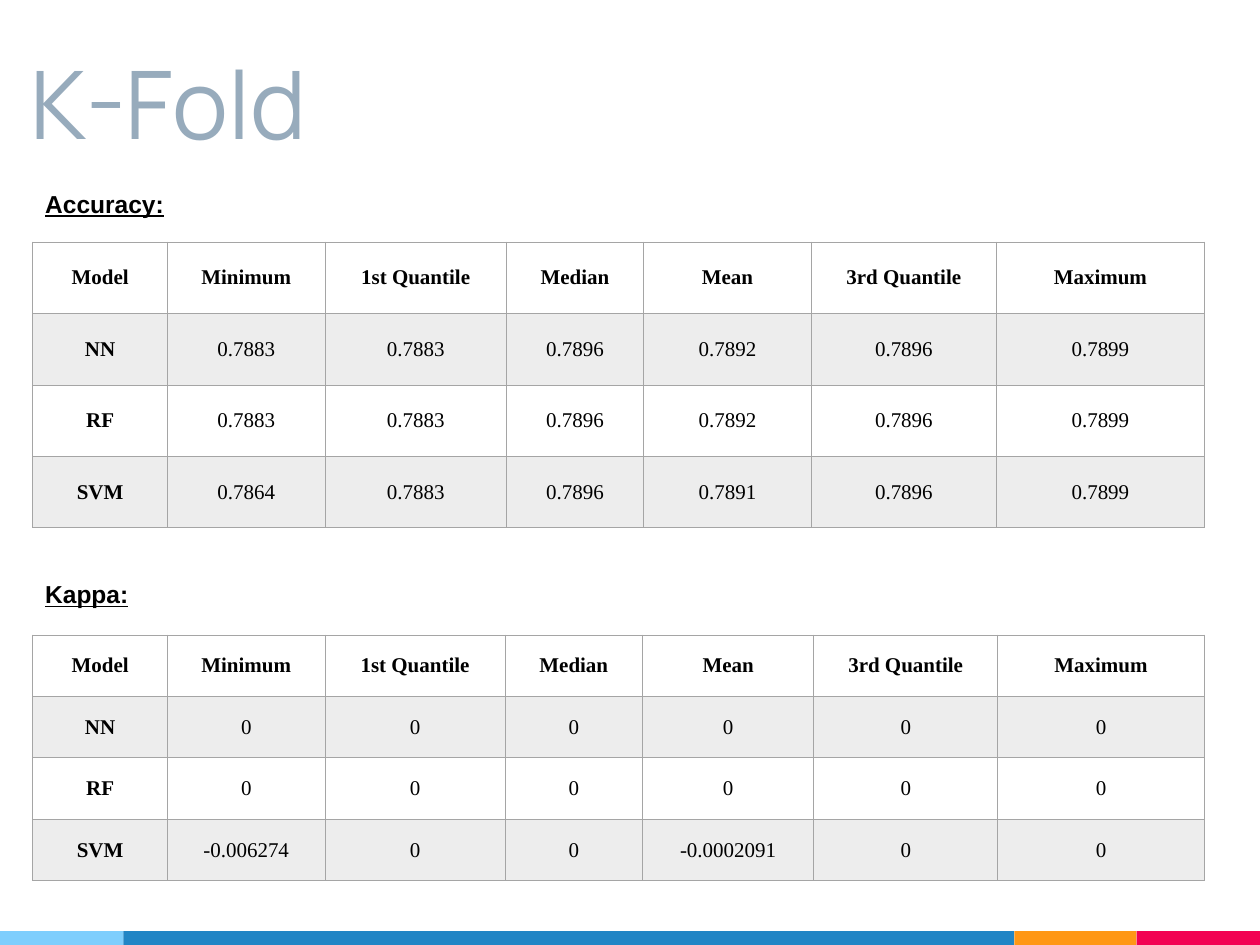
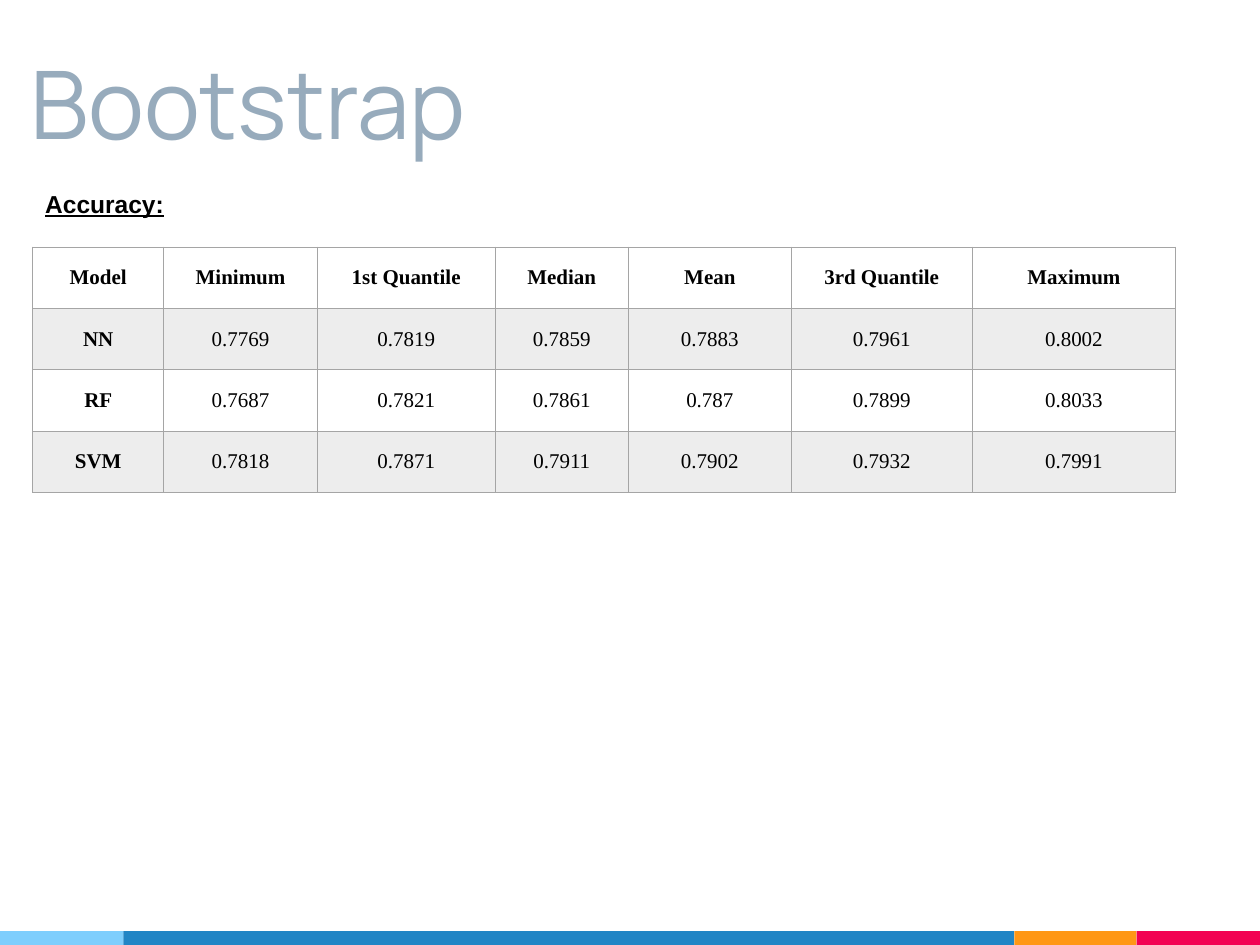
from lxml.etree import SubElement
from pptx import Presentation
from pptx.dml.color import RGBColor
from pptx.enum.shapes import MSO_SHAPE as Shape
from pptx.enum.text import MSO_ANCHOR as Anchor, MSO_AUTO_SIZE as AutoSize, PP_ALIGN as Align
from pptx.oxml.ns import qn
from pptx.util import Inches, Pt

COLORS = {
    "title": "97ABBC",
    "text": "000000",
    "grid": "A5A5A5",
    "stripe": "EDEDED",
    "sky": "7ECEFD",
    "blue": "2185C5",
    "orange": "FF9715",
    "red": "F20253",
}
FOOTER = [("sky", 0, 0.98), ("blue", 0.98, 7.07), ("orange", 8.05, 0.97), ("red", 9.02, 0.98)]
HEADER = ["Model", "Minimum", "1st Quantile", "Median", "Mean", "3rd Quantile", "Maximum"]
LEFT = 0.26

KFOLD_ACCURACY = [
    ["NN", "0.7883", "0.7883", "0.7896", "0.7892", "0.7896", "0.7899"],
    ["RF", "0.7883", "0.7883", "0.7896", "0.7892", "0.7896", "0.7899"],
    ["SVM", "0.7864", "0.7883", "0.7896", "0.7891", "0.7896", "0.7899"],
]
KFOLD_KAPPA = [
    ["NN"] + ["0"] * 6,
    ["RF"] + ["0"] * 6,
    ["SVM", "-0.006274", "0", "0", "-0.0002091", "0", "0"],
]
BOOTSTRAP_ACCURACY = [
    ["NN", "0.7769", "0.7819", "0.7859", "0.7883", "0.7961", "0.8002"],
    ["RF", "0.7687", "0.7821", "0.7861", "0.787", "0.7899", "0.8033"],
    ["SVM", "0.7818", "0.7871", "0.7911", "0.7902", "0.7932", "0.7991"],
]


def color(name):
    return RGBColor.from_string(COLORS[name])


def style_text(para, font_name, size, color_name="text", bold=False, underline=False):
    for span in para.runs:
        font = span.font
        font.name, font.size = font_name, Pt(size)
        font.bold, font.underline = bold, underline
        font.color.rgb = color(color_name)


def add_footer(slide):
    for name, left, width in FOOTER:
        band = slide.shapes.add_shape(
            Shape.RECTANGLE, Inches(left), Inches(7.39), Inches(width), Inches(0.11))
        band.shadow.inherit = False
        band.fill.solid()
        band.fill.fore_color.rgb = color(name)
        band.line.fill.background()


def add_titled_slide(deck, text):
    slide = deck.slides.add_slide(deck.slide_layouts[5])
    add_footer(slide)
    title = slide.shapes.title
    title.left, title.top = Inches(0.14), Inches(0.11)
    title.width, title.height = Inches(8.34), Inches(1.25)
    frame = title.text_frame
    frame.text = text
    frame.auto_size = AutoSize.NONE
    frame.vertical_anchor = Anchor.BOTTOM
    frame.margin_left = frame.margin_right = Inches(0.1)
    frame.margin_top = frame.margin_bottom = Inches(0.1)
    para = frame.paragraphs[0]
    para.alignment = Align.LEFT
    style_text(para, "Manrope", 54, "title")
    return slide


def add_heading(slide, text, top):
    box = slide.shapes.add_textbox(Inches(LEFT), Inches(top), Inches(7.11), Inches(0.34))
    frame = box.text_frame
    frame.word_wrap = True
    frame.text = text
    style_text(frame.paragraphs[0], "Arial", 14, bold=True, underline=True)


def set_borders(cell, row_index):
    heavy_side = {0: "lnB", 1: "lnT"}.get(row_index)
    properties = cell._tc.get_or_add_tcPr()
    for side in ("lnL", "lnR", "lnT", "lnB"):
        width = Pt(1 if side == heavy_side else 0.5)
        line = SubElement(properties, qn(f"a:{side}"), w=str(width))
        fill = SubElement(line, qn("a:solidFill"))
        SubElement(fill, qn("a:srgbClr"), val=COLORS["grid"])


def format_cell(cell, text, row_index, bold):
    set_borders(cell, row_index)
    if row_index % 2:
        cell.fill.solid()
        cell.fill.fore_color.rgb = color("stripe")
    else:
        cell.fill.background()
    cell.margin_left = cell.margin_right = Inches(0.07)
    cell.margin_top = cell.margin_bottom = Inches(0.07)
    cell.vertical_anchor = Anchor.MIDDLE
    cell.text_frame.text = text
    para = cell.text_frame.paragraphs[0]
    para.alignment = Align.CENTER
    style_text(para, "Times New Roman", 12, bold=bold)


def add_score_table(slide, scores, top, height, widths):
    rows = [HEADER] + scores
    table = slide.shapes.add_table(
        len(rows), len(HEADER), Inches(LEFT), Inches(top),
        Inches(sum(widths)), Inches(height)).table
    for column, width in zip(table.columns, widths):
        column.width = Inches(width)
    for row_index, values in enumerate(rows):
        for column_index, value in enumerate(values):
            bold = row_index == 0 or column_index == 0
            format_cell(table.cell(row_index, column_index), value, row_index, bold)


def main():
    """Build the K-Fold and Bootstrap result slides."""
    deck = Presentation()
    deck.slide_width, deck.slide_height = Inches(10), Inches(7.5)

    kfold = add_titled_slide(deck, "K-Fold")
    add_heading(kfold, "Accuracy:", 1.45)
    add_score_table(kfold, KFOLD_ACCURACY, 1.92, 2.27,
                    [1.07, 1.25, 1.44, 1.09, 1.33, 1.47, 1.65])
    add_score_table(kfold, KFOLD_KAPPA, 5.04, 1.95,
                    [1.07, 1.25, 1.43, 1.09, 1.36, 1.46, 1.64])
    add_heading(kfold, "Kappa:", 4.55)

    bootstrap = add_titled_slide(deck, "Bootstrap")
    add_heading(bootstrap, "Accuracy:", 1.45)
    add_score_table(bootstrap, BOOTSTRAP_ACCURACY, 1.96, 1.95,
                    [1.04, 1.22, 1.41, 1.06, 1.29, 1.44, 1.61])

    deck.save("out.pptx")


if __name__ == "__main__":
    main()
